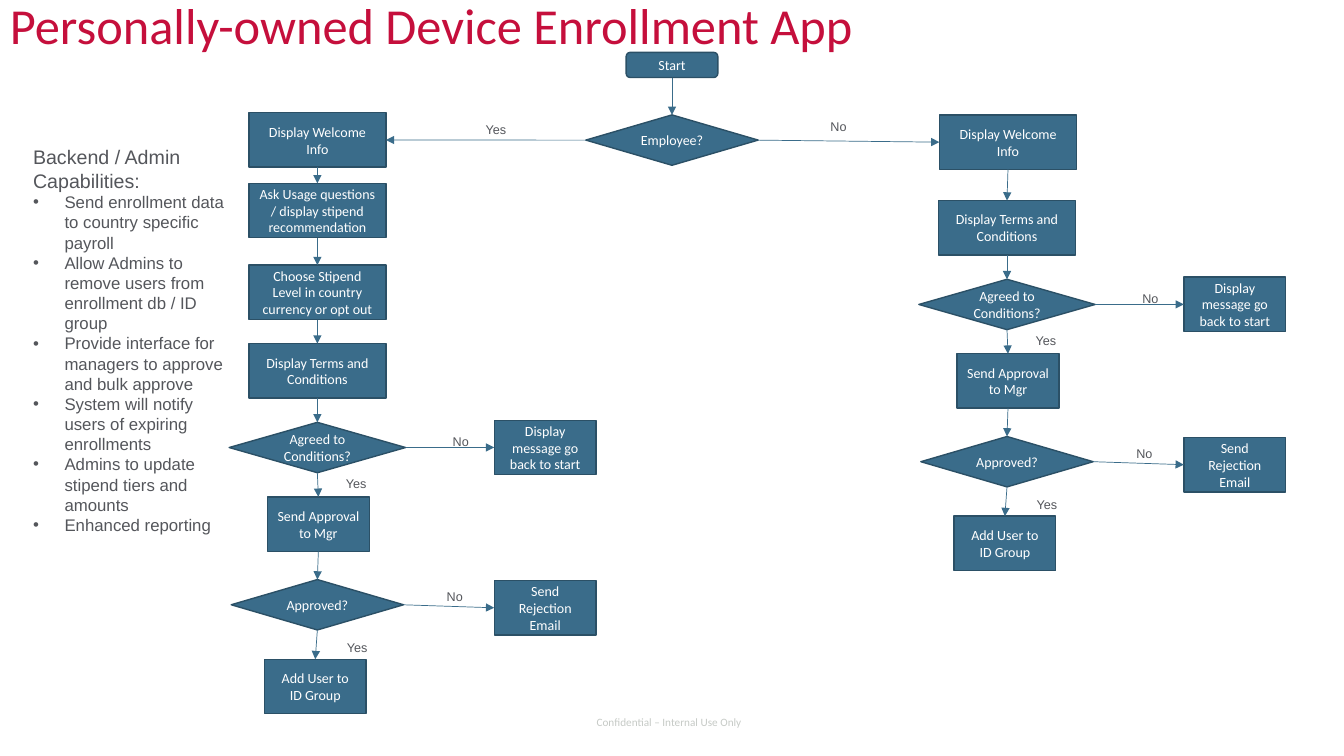
from lxml import etree
from pptx import Presentation
from pptx.dml.color import RGBColor
from pptx.enum import shapes, text
from pptx.oxml import ns
from pptx.util import Pt

BLUE = RGBColor(0x3A, 0x6C, 0x8A)
NAVY = RGBColor(0x2B, 0x50, 0x66)
CRIMSON = RGBColor(0xC5, 0x0F, 0x3C)
GRAY = RGBColor(0x54, 0x56, 0x5B)
PALE = RGBColor(0xC6, 0xCA, 0xC6)
WHITE = RGBColor(0xFF, 0xFF, 0xFF)

RECTANGLE = shapes.MSO_SHAPE.RECTANGLE
DIAMOND = shapes.MSO_SHAPE.DIAMOND
ROUNDED = shapes.MSO_SHAPE.ROUNDED_RECTANGLE
TOP, LEFT, BOTTOM, RIGHT = range(4)

WIDE = (97.9, 38.9)
NARROW = (72.7, 38.9)
DECISION = (123.1, 36)
WIDE_DECISION = (126, 36)

NODE_FONT = {"name": "Calibri", "size": Pt(10)}
LABEL_FONT = {"name": "Arial", "size": Pt(9)}
HEADING_FONT = {"name": "Arial", "size": Pt(14)}
BULLET_FONT = {"name": "Arial", "size": Pt(12)}
TITLE_FONT = {"name": "Calibri", "size": Pt(36)}
FOOTER_FONT = {"name": "Calibri", "size": Pt(8)}
CENTERED = {"alignment": text.PP_ALIGN.CENTER}

CAPABILITIES = [
    "Send enrollment data to country specific payroll",
    "Allow Admins to remove users from enrollment db / ID group",
    "Provide interface for managers to approve and bulk approve",
    "System will notify users of expiring enrollments",
    "Admins to update stipend tiers and amounts",
    "Enhanced reporting",
]


def apply_format(target, values):
    for name, value in values.items():
        setattr(target, name, value)


def write(paragraph, words, font, color, layout=None):
    run = paragraph.add_run()
    run.text = words
    apply_format(run.font, font)
    run.font.color.rgb = color
    apply_format(paragraph, layout or {})


def add_text(slide, box, words, font, color, layout=None, anchor=text.MSO_ANCHOR.TOP):
    shape = slide.shapes.add_textbox(*map(Pt, box))
    frame = shape.text_frame
    apply_format(frame, {"word_wrap": True, "vertical_anchor": anchor})
    write(frame.paragraphs[0], words, font, color, layout)
    return frame


def add_label(slide, left, top, words):
    add_text(slide, (left, top, 34, 18), words, LABEL_FONT, GRAY)


def add_node(slide, kind, center_x, top, size, words):
    width, height = size
    box = (center_x - width / 2, top, width, height)
    shape = slide.shapes.add_shape(kind, *map(Pt, box))
    shape.shadow.inherit = False
    shape.fill.solid()
    shape.fill.fore_color.rgb = BLUE
    shape.line.color.rgb = NAVY
    shape.line.width = Pt(1)
    frame = shape.text_frame
    apply_format(frame, {"word_wrap": True, "vertical_anchor": text.MSO_ANCHOR.MIDDLE})
    write(frame.paragraphs[0], words, NODE_FONT, WHITE, CENTERED)
    return shape


def add_arrow(slide, source, target, exit_side=BOTTOM, entry_side=TOP):
    arrow = slide.shapes.add_connector(shapes.MSO_CONNECTOR.STRAIGHT, 0, 0, 0, 0)
    arrow.begin_connect(source, exit_side)
    arrow.end_connect(target, entry_side)
    arrow.line.color.rgb = BLUE
    arrow.line.width = Pt(0.5)
    etree.SubElement(arrow.line._get_or_add_ln(), ns.qn("a:tailEnd"), type="triangle")
    etree.SubElement(arrow._element.spPr, ns.qn("a:effectLst"))


def add_bullet(frame, words):
    paragraph = frame.add_paragraph()
    write(paragraph, words, BULLET_FONT, GRAY)
    properties = paragraph._p.get_or_add_pPr()
    properties.set("marL", str(Pt(22.5)))
    properties.set("indent", str(Pt(-22.5)))
    etree.SubElement(properties, ns.qn("a:buFont"), typeface="Arial")
    etree.SubElement(properties, ns.qn("a:buChar"), char="•")


def add_approval_branch(slide, previous, x, top):
    side_x = x + 162.7
    terms = add_node(slide, RECTANGLE, x, top, WIDE, "Display Terms and Conditions")
    agreed = add_node(slide, DIAMOND, x, top + 56.2, WIDE_DECISION, "Agreed to Conditions?")
    send = add_node(slide, RECTANGLE, x + 0.7, top + 109.4, NARROW, "Send Approval to Mgr")
    approved = add_node(slide, DIAMOND, x, top + 168.5, DECISION, "Approved?")
    enrolled = add_node(slide, RECTANGLE, x - 1.5, top + 225.4, NARROW, "Add User to ID Group")
    restart = add_node(slide, RECTANGLE, side_x, top + 54.7, NARROW,
                       "Display message go back to start")
    rejection = add_node(slide, RECTANGLE, side_x, top + 169.2, NARROW,
                         "Send Rejection Email")

    steps = [previous, terms, agreed, send, approved, enrolled]
    for source, target in zip(steps, steps[1:]):
        add_arrow(slide, source, target)
    add_arrow(slide, agreed, restart, RIGHT, LEFT)
    add_arrow(slide, approved, rejection, RIGHT, LEFT)

    add_label(slide, x + 89.6, top + 61.2, "No")
    add_label(slide, x + 13.3, top + 90.7, "Yes")
    add_label(slide, x + 85.3, top + 171.4, "No")
    add_label(slide, x + 14, top + 208.1, "Yes")


def add_flowchart(slide):
    start = add_node(slide, ROUNDED, 480, 37.4, (65.5, 18), "Start")
    employee = add_node(slide, DIAMOND, 480, 82.1, DECISION, "Employee?")
    add_arrow(slide, start, employee)

    employee_x, other_x = 226.7, 719.3
    welcome = add_node(slide, RECTANGLE, employee_x, 80.6, WIDE, "Display Welcome Info")
    usage = add_node(slide, RECTANGLE, employee_x, 131, WIDE,
                     "Ask Usage questions / display stipend recommendation")
    stipend = add_node(slide, RECTANGLE, employee_x, 189.4, WIDE,
                       "Choose Stipend Level in country currency or opt out")
    add_arrow(slide, employee, welcome, LEFT, RIGHT)
    add_arrow(slide, welcome, usage)
    add_arrow(slide, usage, stipend)
    add_label(slide, 339.8, 83.5, "Yes")
    add_approval_branch(slide, stipend, employee_x, 245.5)

    other_welcome = add_node(slide, RECTANGLE, other_x + 0.7, 82.1, WIDE,
                             "Display Welcome Info")
    add_arrow(slide, employee, other_welcome, RIGHT, LEFT)
    add_label(slide, 586.1, 81.4, "No")
    add_approval_branch(slide, other_welcome, other_x, 143.3)


def main():
    presentation = Presentation()
    presentation.slide_width = Pt(960)
    presentation.slide_height = Pt(540)
    slide = presentation.slides.add_slide(presentation.slide_layouts[6])

    add_text(slide, (370, 504, 216, 23), "Confidential – Internal Use Only",
             FOOTER_FONT, PALE, CENTERED, text.MSO_ANCHOR.MIDDLE)
    add_text(slide, (0, 0, 936, 42.5), "Personally-owned Device Enrollment App",
             TITLE_FONT, CRIMSON, {"line_spacing": 0.8}, text.MSO_ANCHOR.BOTTOM)
    add_flowchart(slide)
    capabilities = add_text(slide, (16.5, 100, 154, 310.3),
                            "Backend / Admin Capabilities:", HEADING_FONT, GRAY)
    for words in CAPABILITIES:
        add_bullet(capabilities, words)

    presentation.save("out.pptx")


if __name__ == "__main__":
    main()
